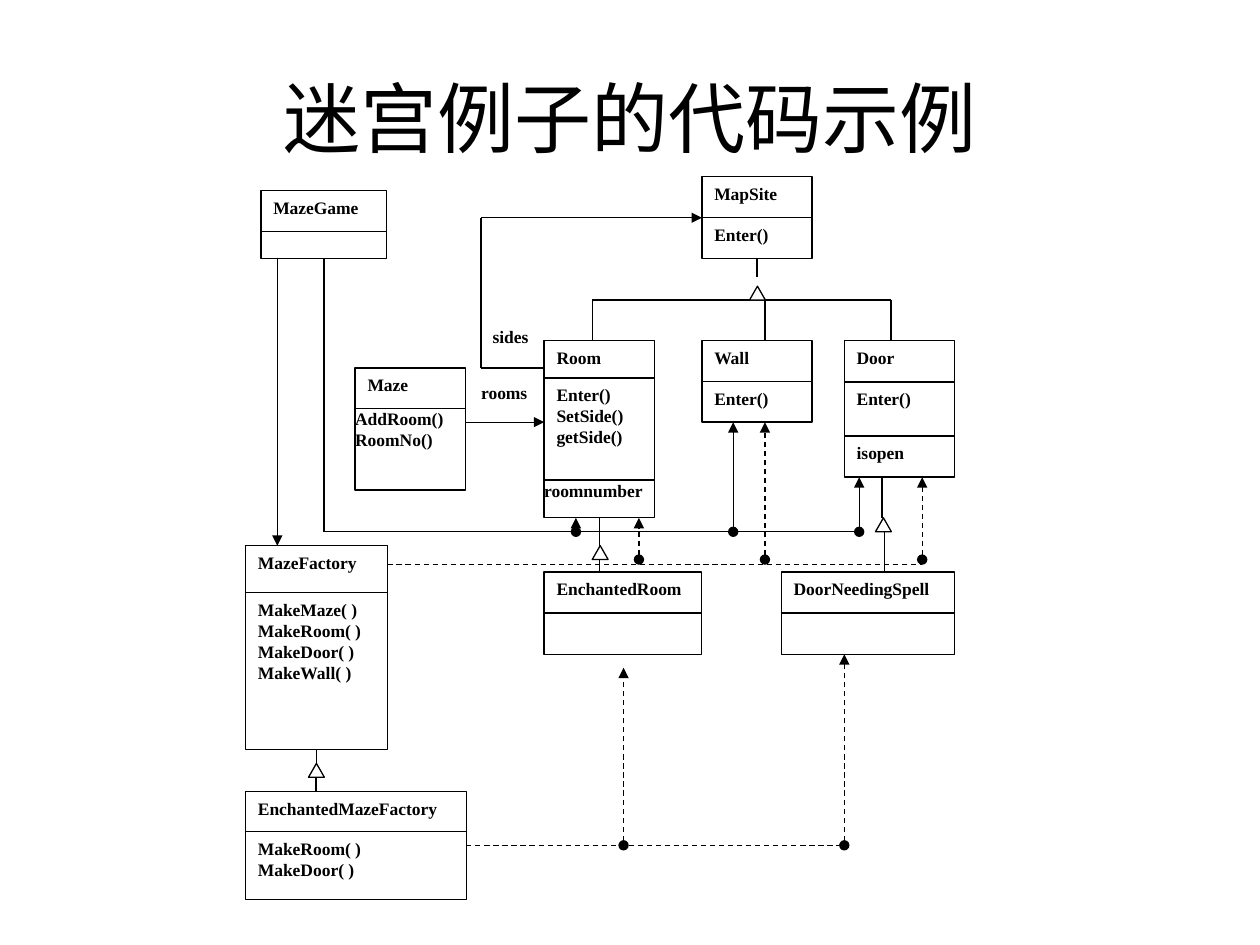
from dataclasses import dataclass
from typing import Optional

from pptx import Presentation
from pptx.dml.color import RGBColor as RGB
from pptx.enum.dml import MSO_LINE
from pptx.enum.shapes import MSO_CONNECTOR as CONN, MSO_SHAPE as SHAPE
from pptx.enum.text import MSO_ANCHOR as ANCHOR, PP_ALIGN as ALIGN
from pptx.oxml.ns import qn
from pptx.util import Cm, Pt
from lxml.etree import SubElement

BOTTOM = 2  # connection site


@dataclass(frozen=True)
class Theme:
    ink: RGB = RGB(0, 0, 0)
    paper: RGB = RGB(255, 255, 255)
    title_font: str = "Arial"
    body_font: str = "Times New Roman"
    title_size: float = 44
    body_size: float = 10
    line_width: float = 0.75


@dataclass(frozen=True)
class Section:
    height: float
    lines: tuple = ()
    tight: bool = False


@dataclass(frozen=True)
class UmlClass:
    x: float
    y: float
    width: float
    sections: tuple


@dataclass(frozen=True)
class Line:
    x1: float
    y1: float
    x2: float
    y2: float
    head: Optional[str] = None
    tail: Optional[str] = None
    dashed: bool = False
    below: Optional[str] = None  # class whose bottom centre the line starts from


THEME = Theme()
CLASSES = {
    "MapSite": UmlClass(14.15, 3.56, 2.22, (
        Section(0.83, ("MapSite",)), Section(0.82, ("Enter()",)))),
    "Wall": UmlClass(14.15, 6.86, 2.22, (
        Section(0.83, ("Wall",)), Section(0.82, ("Enter()",)))),
    "Room": UmlClass(10.97, 6.86, 2.22, (
        Section(0.76, ("Room",)),
        Section(2.06, ("Enter()", "SetSide()", "getSide()")),
        Section(0.76, ("roomnumber",), tight=True))),
    "Door": UmlClass(17.02, 6.86, 2.22, (
        Section(0.84, ("Door",)), Section(1.09, ("Enter()",)),
        Section(0.83, ("isopen",)))),
    "Maze": UmlClass(7.16, 7.42, 2.22, (
        Section(0.81, ("Maze",)),
        Section(1.65, ("AddRoom()", "RoomNo()"), tight=True))),
    "MazeFactory": UmlClass(4.95, 11, 2.86, (
        Section(0.94, ("MazeFactory",)),
        Section(3.17, ("MakeMaze( )", "MakeRoom( )", "MakeDoor( )", "MakeWall( )")))),
    "EnchantedRoom": UmlClass(10.97, 11.53, 3.18, (
        Section(0.83, ("EnchantedRoom",)), Section(0.83))),
    "DoorNeedingSpell": UmlClass(15.75, 11.53, 3.49, (
        Section(0.83, ("DoorNeedingSpell",)), Section(0.83))),
    "EnchantedMazeFactory": UmlClass(4.95, 15.95, 4.45, (
        Section(0.81, ("EnchantedMazeFactory",)),
        Section(1.38, ("MakeRoom( )", "MakeDoor( )")))),
    "MazeGame": UmlClass(5.26, 3.84, 2.54, (
        Section(0.83, ("MazeGame",)), Section(0.54))),
}
LABELS = {"sides": (9.93, 6.58), "rooms": (9.7, 7.7)}
TRIANGLES = ((15.11, 5.77), (11.94, 11), (17.65, 10.44), (6.22, 15.39))

SIBLING_Y, SOLID_Y, DASHED_Y, DOT_Y, ENCHANTED_Y = 6.05, 10.72, 11.38, 11.28, 17.04
LINES = [
    # Inheritance
    Line(15.26, 5.21, 15.26, 5.59, below="MapSite"),
    Line(11.94, SIBLING_Y, 17.96, SIBLING_Y),
    *(Line(x, SIBLING_Y, x, 6.86) for x in (11.94, 15.42, 17.96)),
    Line(12.08, 10.44, 12.08, 11, below="Room"),
    Line(12.08, 11.28, 12.08, 11.53),
    Line(17.78, 9.62, 17.78, 10.44),
    Line(17.83, 10.72, 17.83, 11.53),
    Line(6.38, 15.11, 6.38, 15.39, below="MazeFactory"),
    Line(6.37, 15.67, 6.37, 15.95),
    # References
    Line(9.7, 4.39, 14.15, 4.39, tail="triangle"),
    Line(9.7, 4.39, 9.7, 7.42),
    Line(9.7, 7.42, 10.97, 7.42),
    Line(9.38, 8.51, 10.97, 8.51, tail="triangle"),
    Line(5.59, 5.21, 5.59, 11, tail="triangle"),
    # Creation buses
    Line(6.53, 5.21, 6.53, SOLID_Y),
    Line(6.53, SOLID_Y, 17.32, SOLID_Y),
    Line(7.81, DASHED_Y, 18.59, DASHED_Y, dashed=True),
    Line(9.4, ENCHANTED_Y, 17.02, ENCHANTED_Y, dashed=True),
    # Creation arrows
    *(Line(x, start, x, end, "oval", "triangle", dashed)
      for start, dashed, arrows in (
          (SOLID_Y, False, ((11.61, 10.44), (14.78, 8.51), (17.32, 9.62))),
          (DOT_Y, True, ((12.88, 10.44), (15.42, 8.51), (18.59, 9.62))),
          (ENCHANTED_Y, True, ((12.57, 13.46), (17.02, 13.19))))
      for x, end in arrows),
]


def write(tf, *lines: str, font=THEME.body_font, size=THEME.body_size, bold=True,
          align=ALIGN.LEFT, anchor=ANCHOR.TOP, inset=(0.0, 0.0)) -> None:
    """Fill a text frame, one paragraph per line; inset is (sides, top and bottom)."""
    tf.word_wrap = True
    tf.vertical_anchor = anchor
    tf.margin_left = tf.margin_right = Cm(inset[0])
    tf.margin_top = tf.margin_bottom = Cm(inset[1])
    for i, line in enumerate(lines):
        p = tf.paragraphs[0] if i == 0 else tf.add_paragraph()
        p.alignment = align
        r = p.add_run()
        r.text = line
        r.font.name, r.font.size, r.font.bold = font, Pt(size), bold
        r.font.color.rgb = THEME.ink


def add_box(s, x: float, y: float, w: float, h: float, kind=SHAPE.RECTANGLE,
            outlined=True):
    sp = s.shapes.add_shape(kind, Cm(x), Cm(y), Cm(w), Cm(h))
    sp.shadow.inherit = False
    sp.fill.solid()
    sp.fill.fore_color.rgb = THEME.paper
    if outlined:
        sp.line.color.rgb = THEME.ink
        sp.line.width = Pt(THEME.line_width)
    else:
        sp.line.fill.background()
    return sp


def add_class(s, uml: UmlClass):
    """Stack the sections of a class and return the lowest box."""
    y = uml.y
    for section in uml.sections:
        sp = add_box(s, uml.x, y, uml.width, section.height)
        if section.lines:
            write(sp.text_frame, *section.lines,
                  inset=(0, 0) if section.tight else (0.25, 0.13))
        y += section.height
    return sp


def add_line(s, line: Line, lowest_boxes: dict) -> None:
    c = s.shapes.add_connector(CONN.STRAIGHT, Cm(line.x1), Cm(line.y1),
                               Cm(line.x2), Cm(line.y2))
    if line.below:
        c.begin_connect(lowest_boxes[line.below], BOTTOM)
    c.line.color.rgb = THEME.ink
    c.line.width = Pt(THEME.line_width)
    if line.dashed:
        c.line.dash_style = MSO_LINE.DASH
    ln = c.line._get_or_add_ln()
    for tag, end in (("a:headEnd", line.head), ("a:tailEnd", line.tail)):
        if end:
            SubElement(ln, qn(tag), type=end)
    SubElement(c._element.spPr, qn("a:effectLst"))


def main() -> None:
    prs = Presentation()
    prs.slide_width, prs.slide_height = Cm(25.4), Cm(19.05)
    s = prs.slides.add_slide(prs.slide_layouts[5])

    title = s.shapes.title
    title.left, title.top = Cm(1.27), Cm(0.76)
    title.width, title.height = Cm(22.86), Cm(3.18)
    write(title.text_frame, "迷宫例子的代码示例", font=THEME.title_font,
          size=THEME.title_size, bold=False, align=ALIGN.CENTER,
          anchor=ANCHOR.MIDDLE, inset=(0.25, 0.13))

    lowest_boxes = {name: add_class(s, uml) for name, uml in CLASSES.items()}
    for text, (x, y) in LABELS.items():
        write(add_box(s, x, y, 0.95, 0.55, outlined=False).text_frame, text)
    for line in LINES:
        add_line(s, line, lowest_boxes)
    for x, y in TRIANGLES:
        add_box(s, x, y, 0.32, 0.28, SHAPE.ISOSCELES_TRIANGLE)

    prs.save("out.pptx")


if __name__ == "__main__":
    main()
